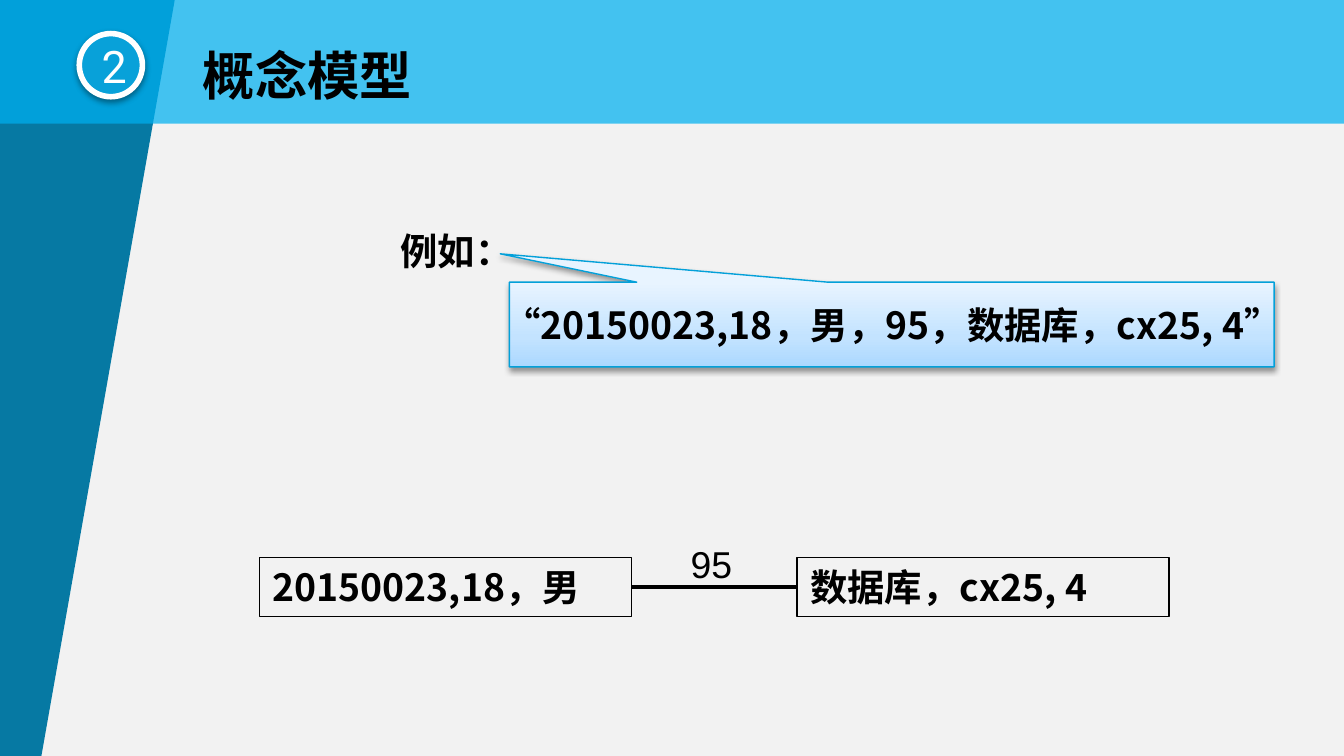
import pptx
import pptx.util
import pptx.dml.color
import pptx.enum.shapes
import pptx.enum.text
import pptx.oxml
import pptx.oxml.ns
from lxml import etree

Inches = pptx.util.Inches
Pt = pptx.util.Pt
RGBColor = pptx.dml.color.RGBColor
SHAPE = pptx.enum.shapes.MSO_SHAPE
ALIGN = pptx.enum.text.PP_ALIGN
ANCHOR = pptx.enum.text.MSO_ANCHOR
qn = pptx.oxml.ns.qn

BLACK = RGBColor(0x00, 0x00, 0x00)
WHITE = RGBColor(0xFF, 0xFF, 0xFF)
PAPER = RGBColor(0xF2, 0xF2, 0xF2)
WEDGE_BLUE = RGBColor(0x06, 0x79, 0xA3)
BAND_BLUE = RGBColor(0x00, 0xB0, 0xF0)
BADGE_BLUE = RGBColor(0x08, 0xA1, 0xD9)
CALLOUT_LINE = RGBColor(0x03, 0xA0, 0xD9)
CALLOUT_STOPS = [
    (0, RGBColor(0xAB, 0xD8, 0xFF)),
    (35, RGBColor(0xC3, 0xE3, 0xFF)),
    (100, RGBColor(0xE8, 0xF4, 0xFF)),
]
CJK = "Noto Sans CJK SC"
SLIDE_WIDTH = 10
SLIDE_HEIGHT = SLIDE_WIDTH * 9 / 16


def write(shape, text, size=20, font=CJK, bold=True, color=BLACK,
          align=ALIGN.LEFT, anchor=ANCHOR.TOP, wrap=True):
    frame = shape.text_frame
    frame.word_wrap = wrap
    frame.auto_size = pptx.enum.text.MSO_AUTO_SIZE.NONE
    frame.vertical_anchor = anchor
    para = frame.paragraphs[0]
    para.alignment = align
    span = para.add_run()
    span.text = text
    span.font.size = Pt(size)
    span.font.bold = bold
    span.font.color.rgb = color
    span.font.name = font
    east_asian = etree.Element(qn("a:ea"), typeface=CJK)
    span.font._element.find(qn("a:latin")).addnext(east_asian)


def add_label(page, left, top, width, height, text, **style):
    box = page.shapes.add_textbox(
        Inches(left), Inches(top), Inches(width), Inches(height))
    write(box, text, **style)


def add_block(page, kind, left, top, width, height, fill=None, line=None, weight=0.75):
    block = page.shapes.add_shape(
        kind, Inches(left), Inches(top), Inches(width), Inches(height))
    block.shadow.inherit = False
    if fill is None:
        block.fill.background()
    else:
        block.fill.solid()
        block.fill.fore_color.rgb = fill
    if line is None:
        block.line.fill.background()
    else:
        block.line.color.rgb = line
        block.line.width = Pt(weight)
    return block


def add_soft_shadow(shape):
    effects = shape._element.spPr.find(qn("a:effectLst"))
    shadow = etree.SubElement(effects, qn("a:outerShdw"), blurRad="40000",
                              dist="20000", dir="5400000", rotWithShape="0")
    color = etree.SubElement(shadow, qn("a:srgbClr"), val=str(BLACK))
    etree.SubElement(color, qn("a:alpha"), val="38000")


def fill_gradient(shape, stops):
    shape.fill.gradient()
    shape.fill.gradient_angle = 90
    stop_list = shape._element.spPr.find(qn("a:gradFill")).find(qn("a:gsLst"))
    for stop in list(stop_list):
        stop_list.remove(stop)
    for percent, color in stops:
        stop = etree.SubElement(stop_list, qn("a:gs"), pos=str(percent * 1000))
        etree.SubElement(stop, qn("a:srgbClr"), val=str(color))


def draw_backdrop(page, width):
    page.background.fill.solid()
    page.background.fill.fore_color.rgb = PAPER

    # Slanted wedge on the left, in hundredths of an inch
    builder = page.shapes.build_freeform(-1, 566, scale=Inches(0.01))
    builder.add_line_segments([(0, -1), (130, 0), (30, 567)], close=True)
    wedge = builder.convert_to_shape()
    wedge.shadow.inherit = False
    wedge.fill.solid()
    wedge.fill.fore_color.rgb = WEDGE_BLUE
    wedge.line.fill.background()

    # Translucent title band
    band = add_block(page, SHAPE.RECTANGLE, -0.01, 0, width + 0.01, 0.92, BAND_BLUE)
    color = band._element.spPr.find(qn("a:solidFill"))[0]
    etree.SubElement(color, qn("a:alpha"), val="72000")


def draw_heading(page, left, top, number, text):
    badge = add_block(page, SHAPE.OVAL, left, top, 0.47, 0.47, BADGE_BLUE, WHITE, 3)
    add_soft_shadow(badge)
    write(badge, number, size=24, font="Roboto", bold=False, color=WHITE,
          align=ALIGN.CENTER, anchor=ANCHOR.MIDDLE)

    title = page.shapes.title
    title.left, title.top = Inches(left + 0.82), Inches(top + 0.02)
    title.width, title.height = Inches(2.01), Inches(0.57)
    write(title, text, size=28, font="Arial")


def draw_example(page, left, top):
    callout = add_block(page, SHAPE.RECTANGULAR_CALLOUT, left + 0.91, top + 0.45,
                        5.69, 0.63, line=CALLOUT_LINE)
    callout.adjustments[0] = -0.512
    callout.adjustments[1] = -0.835
    fill_gradient(callout, CALLOUT_STOPS)
    add_soft_shadow(callout)
    add_label(page, left + 0.51, top + 0.55, 6.5, 0.44,
              "“20150023,18，男，95，数据库，cx25, 4”", align=ALIGN.CENTER)
    add_label(page, left, top, 1.05, 0.44, "例如：", wrap=False)


def draw_relation(page, left, top):
    # Two entities, evenly pitched
    entities = []
    for index, text in enumerate(["20150023,18，男", "数据库，cx25, 4"]):
        entity = add_block(page, SHAPE.RECTANGLE, left + 4 * index, top,
                           2.77, 0.44, line=BLACK)
        write(entity, text)
        entities.append(entity)

    # Link between them and its value
    link = page.shapes.add_connector(
        pptx.enum.shapes.MSO_CONNECTOR.STRAIGHT, 0, 0, 0, 0)
    link.begin_connect(entities[0], 3)
    link.end_connect(entities[1], 1)
    link.line.color.rgb = BLACK
    link.line.width = Pt(2)
    etree.SubElement(link._element.spPr, qn("a:effectLst"))
    add_label(page, left + 3.11, top - 0.17, 0.59, 0.4, "95", font="Arial", bold=False)


def main():
    deck = pptx.Presentation()
    deck.slide_width = Inches(SLIDE_WIDTH)
    deck.slide_height = Inches(SLIDE_HEIGHT)
    page = deck.slides.add_slide(deck.slide_layouts.get_by_name("Title Only"))
    draw_backdrop(page, SLIDE_WIDTH)
    # The title placeholder comes first, so lift it above the band
    page.shapes._spTree.append(page.shapes.title._element)
    draw_example(page, 2.88, 1.65)
    draw_relation(page, 1.93, 4.15)
    draw_heading(page, 0.59, 0.25, "2", "概念模型")
    deck.save("out.pptx")


if __name__ == "__main__":
    main()
